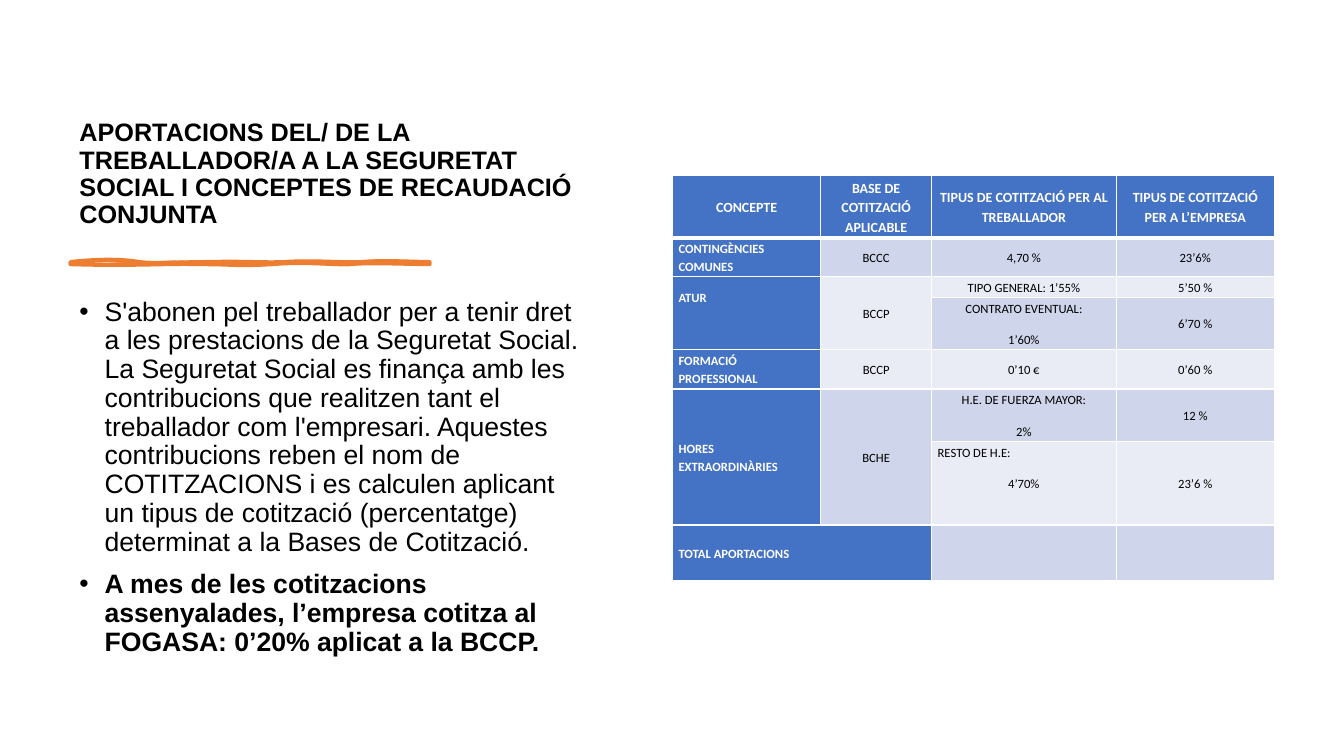
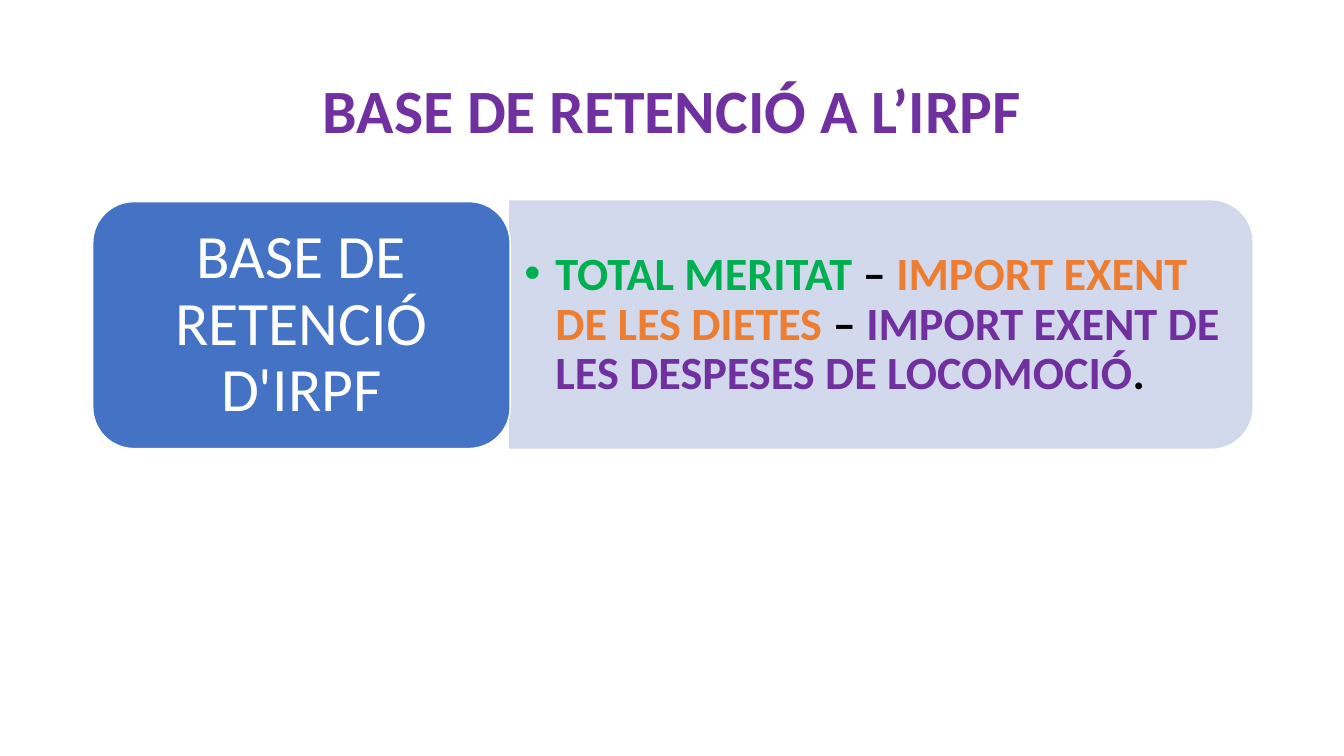
from lxml import etree
from pptx import Presentation
from pptx import util as u
from pptx.dml.color import RGBColor
from pptx.enum import shapes, text
from pptx.oxml import ns

PX = 9144  # 100 px to the inch
HUES = {
    "white": "FFFFFF", "black": "000000", "blue": "4472C4", "orange": "ED7D31",
    "violet": "7030A0", "green": "00B050", "dark": "CFD5EA", "light": "E9EBF5",
}
RGB = {name: RGBColor.from_string(hue) for name, hue in HUES.items()}
LEFT, MID = text.PP_ALIGN.LEFT, text.PP_ALIGN.CENTER
TOP, CORE, LOW = (text.MSO_ANCHOR.TOP, text.MSO_ANCHOR.MIDDLE,
                  text.MSO_ANCHOR.BOTTOM)


def box(page, at, words, anchor):
    frame = page.shapes.add_textbox(*(n * PX for n in at)).text_frame
    frame.word_wrap = True
    frame.vertical_anchor = anchor
    frame.text = words
    return frame


def style(par, size, tone, font="Calibri", bold=False, align=LEFT, pitch=0.9):
    par.alignment = align
    par.line_spacing = pitch
    for run in par.runs:
        run.font.size = u.Pt(size)
        run.font.name = font
        run.font.bold = bold
        run.font.color.rgb = RGB[tone]


deck = Presentation()
deck.slide_width, deck.slide_height = 1333 * PX, 750 * PX
quotas, base = [deck.slides.add_slide(deck.slide_layouts[6]) for _ in range(2)]
points = []  # bulleted paragraphs with their hanging indent

# Slide 1: title and body
title = box(quotas, (69, 70, 527, 162),
            "APORTACIONS DEL/ DE LA TREBALLADOR/A A LA SEGURETAT SOCIAL "
            "I CONCEPTES DE RECAUDACIÓ CONJUNTA", LOW)
style(title.paragraphs[0], 18, "black", "Arial", True)

body = box(quotas, (69, 291, 527, 388),
           "S'abonen pel treballador per a tenir dret a les prestacions de la "
           "Seguretat Social. La Seguretat Social es finança amb les "
           "contribucions que realitzen tant el treballador com l'empresari. "
           "Aquestes contribucions reben el nom de COTITZACIONS i es calculen "
           "aplicant un tipus de cotització (percentatge) determinat a la "
           "Bases de Cotització.\n"
           "A mes de les cotitzacions assenyalades, l’empresa cotitza al "
           "FOGASA: 0’20% aplicat a la BCCP.", TOP)
for par, bold in zip(body.paragraphs, (False, True)):
    style(par, 19, "black", "Arial", bold)
    par.space_before = u.Pt(10)
    points.append((par, 25))

# Slide 1: brush stroke, an outline and a fill, each a chain of cubic curves
edge = [(70, 260), (97, 257), (121, 257), (138, 260), (155, 262), (177, 260),
        (209, 260), (241, 259), (260, 261), (284, 260), (308, 258), (339, 261),
        (359, 260), (379, 258), (412, 260), (426, 260), (426, 260), (426, 261),
        (426, 262), (408, 262), (364, 260), (348, 262), (332, 263), (304, 259),
        (270, 262), (235, 264), (231, 262), (199, 262), (166, 261), (132, 264),
        (70, 262), (70, 261), (70, 260), (70, 260)]
core = [(70, 260), (102, 262), (110, 260), (138, 260), (166, 259), (169, 257),
        (199, 260), (228, 262), (261, 261), (277, 260), (293, 258), (327, 262),
        (344, 260), (362, 257), (397, 263), (426, 260), (426, 260), (426, 261),
        (426, 262), (412, 261), (372, 264), (355, 262), (338, 259), (309, 262),
        (277, 262), (244, 261), (240, 260), (216, 262), (193, 263), (179, 261),
        (145, 262), (111, 262), (92, 261), (70, 262), (70, 261), (70, 260),
        (70, 260)]
pen = quotas.shapes.build_freeform(*edge[0], scale=PX)
pen.add_line_segments(edge[1:], close=True)
pen.move_to(*core[0])
pen.add_line_segments(core[1:], close=True)
brush = pen.convert_to_shape()
brush.shadow.inherit = False
brush.fill.solid()
brush.fill.fore_color.rgb = RGB["orange"]
brush.line.color.rgb = RGB["orange"]
brush.line.width = u.Pt(3)

# Turn each three line segments into one curve, and each outline into a path
track = next(brush._element.iter(ns.qn("a:path")))
rise = 260 - min(y for _, y in edge + core)
brush.top, brush.height = 260 * PX, 2 * PX
home = track.getparent()
steps = list(track)
home.remove(track)
for step in steps:
    kind = etree.QName(step).localname
    if kind == "moveTo":
        look = {"stroke": "0"} if len(home) else {"fill": "none"}
        path = etree.SubElement(home, ns.qn("a:path"), w="356", h="2", **look)
        count = 0
    if kind == "lnTo":
        if count % 3 == 0:
            curve = etree.SubElement(path, ns.qn("a:cubicBezTo"))
        count += 1
        dot = step[0]
        curve.append(dot)
    else:
        path.append(step)
for dot in home.iter(ns.qn("a:pt")):
    dot.set("y", str(int(dot.get("y")) - rise))

# Slide 1: table
rows = [
    ("CONCEPTE", "BASE DE COTITZACIÓ APLICABLE",
     "TIPUS DE COTITZACIÓ PER AL TREBALLADOR", "TIPUS DE COTITZACIÓ PER A L’EMPRESA"),
    ("CONTINGÈNCIES COMUNES", "BCCC", "4,70 %", "23’6%"),
    ("ATUR", "BCCP", "TIPO GENERAL: 1’55%", "5’50 %"),
    ("", "", "CONTRATO EVENTUAL:\n1’60%", "6’70 %"),
    ("FORMACIÓ PROFESSIONAL", "BCCP", "0’10 €", "0’60 %"),
    ("HORES EXTRAORDINÀRIES", "BCHE", "H.E. DE FUERZA MAYOR:\n2%", "12 %"),
    ("", "", "RESTO DE H.E:\n4’70%", "23’6 %"),
    ("TOTAL APORTACIONS", "", "", ""),
]
wide = (147, 110, 183, 157)
high = (62, 38, 21, 52, 39, 52, 83, 55)
grid = quotas.shapes.add_table(len(rows), len(wide), 667 * PX, 174 * PX,
                               sum(wide) * PX, sum(high) * PX).table
grid.first_row = grid.horz_banding = False
for col, n in zip(grid.columns, wide):
    col.width = n * PX
for row, n in zip(grid.rows, high):
    row.height = n * PX

for r, row in enumerate(rows):
    for c, words in enumerate(row):
        cell = grid.cell(r, c)
        head = r == 0 or c == 0
        cell.margin_left = cell.margin_right = 6 * PX
        cell.margin_top = cell.margin_bottom = 0
        cell.vertical_anchor = CORE
        props = cell._tc.get_or_add_tcPr()
        for side in "LRTB":
            thick = 3 if (r, side) in ((0, "B"), (1, "T")) else 1
            line = etree.SubElement(props, ns.qn("a:ln" + side), w=str(u.Pt(thick)))
            paint = etree.SubElement(line, ns.qn("a:solidFill"))
            etree.SubElement(paint, ns.qn("a:srgbClr"), val=HUES["white"])
        cell.fill.solid()
        cell.fill.fore_color.rgb = RGB["blue" if head else "dark" if r % 2 else "light"]
        cell.text_frame.text = words
        for par in cell.text_frame.paragraphs:
            style(par, 9 if r else 10, "white" if head else "black", bold=head,
                  align=LEFT if r and c == 0 else MID, pitch=1.15)
            par.space_after = u.Pt(10)

for r, c in ((2, 0), (6, 2)):
    grid.cell(r, c).margin_bottom = 31 * PX
grid.cell(6, 2).text_frame.paragraphs[0].alignment = LEFT
for r in (2, 5):
    for c in (0, 1):
        grid.cell(r, c).merge(grid.cell(r + 1, c))
grid.cell(7, 0).merge(grid.cell(7, 1))

# Slide 2: title
title = box(base, (92, 40, 1150, 145), "BASE DE RETENCIÓ A L’IRPF", CORE)
style(title.paragraphs[0], 44, "violet", bold=True, align=MID)

# Slide 2: panel, turned so that its round corners face right, and label
kinds = shapes.MSO_SHAPE
panel = base.shapes.add_shape(kinds.ROUND_2_SAME_RECTANGLE,
                              *(n * PX for n in (751, -46, 245, 736)))
panel.rotation = 90
label = base.shapes.add_shape(kinds.ROUNDED_RECTANGLE,
                              *(n * PX for n in (92, 200, 414, 245)))
for shape, fill, line in ((panel, "dark", "dark"), (label, "blue", "white")):
    shape.shadow.inherit = False
    shape.fill.solid()
    shape.fill.fore_color.rgb = RGB[fill]
    shape.line.color.rgb = RGB[line]
    shape.line.width = u.Pt(1)
for tint in panel._element.spPr.iter(ns.qn("a:srgbClr")):
    etree.SubElement(tint, ns.qn("a:alpha"), val="90000")

frame = label.text_frame
frame.word_wrap = True
frame.vertical_anchor = CORE
frame.margin_left = frame.margin_right = 18 * PX
frame.margin_top = frame.margin_bottom = 9 * PX
frame.text = "BASE DE RETENCIÓ D'IRPF"
style(frame.paragraphs[0], 44, "white", align=MID)

# Slide 2: formula
frame = box(base, (506, 212, 724, 221), "", CORE)
frame.margin_left = frame.margin_right = 14 * PX
frame.margin_top = frame.margin_bottom = 7 * PX
par = frame.paragraphs[0]
terms = [("TOTAL MERITAT ", "green"), ("– ", "black"),
         ("IMPORT EXENT DE LES DIETES ", "orange"), ("– ", "black"),
         ("IMPORT EXENT DE LES DESPESES DE LOCOMOCIÓ", "violet"), (".", "black")]
for words, _ in terms:
    par.add_run().text = words
style(par, 33, "black", bold=True)
for run, (_, tone) in zip(par.runs, terms):
    run.font.color.rgb = RGB[tone]
points.append((par, 31))

for par, hang in points:
    props = par._p.get_or_add_pPr()
    props.set("marL", str(hang * PX))
    props.set("indent", str(-hang * PX))
    etree.SubElement(props, ns.qn("a:buFont"), typeface="Arial")
    etree.SubElement(props, ns.qn("a:buChar"), char="•")

deck.save("out.pptx")
